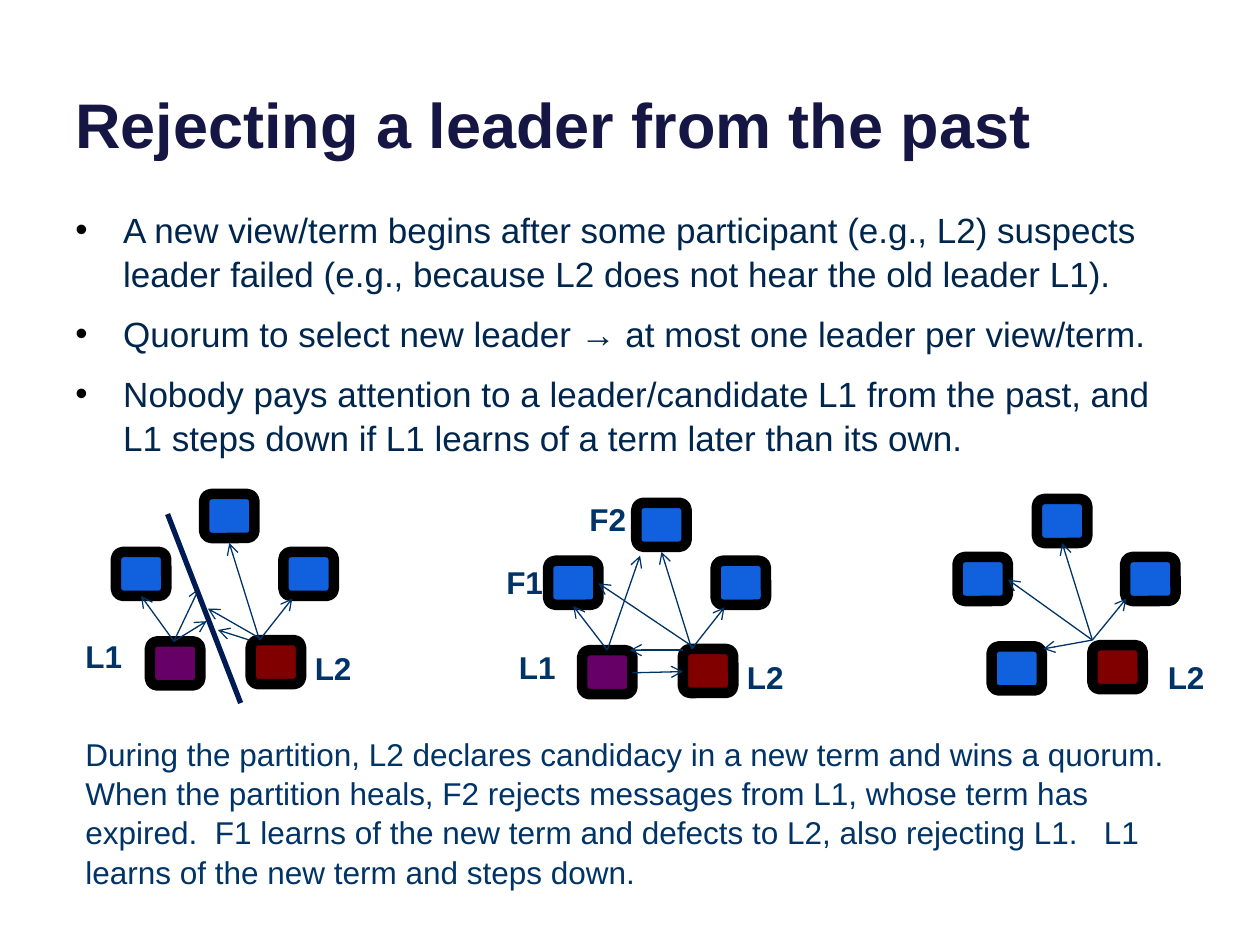
import pptx
import pptx.util
import pptx.dml.color
import pptx.enum.shapes
import pptx.enum.text
import pptx.oxml.ns
import lxml.etree

BLUE, MAROON, PURPLE = "1160DD", "800000", "660066"
NAVY, INK = "001B53", "003367"


def rgb(value):
    return pptx.dml.color.RGBColor.from_string(value)


def sub(parent, tag, **attrs):
    return lxml.etree.SubElement(parent, pptx.oxml.ns.qn(tag), **attrs)


class Deck:
    """Style and current slide; lengths are cells of a 100 x 75 grid."""

    CELL = pptx.util.Inches(0.1)
    NODE = (4, 3.5)
    FORMATS = {
        "title": {"size": pptx.util.Pt(36), "bold": True, "color": "161645"},
        "body": {"size": pptx.util.Pt(20), "bold": False, "color": "00264D"},
        "label": {"size": pptx.util.Pt(18), "bold": True, "color": INK},
        "note": {"size": pptx.util.Pt(18), "bold": False, "color": INK},
    }

    def __init__(self):
        self.prs = pptx.Presentation()
        self.prs.slide_width, self.prs.slide_height = self.grid(100, 75)
        self.s = self.prs.slides.add_slide(self.prs.slide_layouts[6])
        self.shapes = self.s.shapes

    def grid(self, *cells):
        return [round(c * self.CELL) for c in cells]

    def group(self):
        self.shapes = self.s.shapes.add_group_shape().shapes

    def ungroup(self):
        self.shapes = self.s.shapes

    def text(self, box, paragraphs, style, bullets=False, wrap=True, spacing=1.0,
             anchor=pptx.enum.text.MSO_ANCHOR.TOP):
        tf = self.shapes.add_textbox(*self.grid(*box)).text_frame
        tf.word_wrap, tf.vertical_anchor = wrap, anchor
        for i, words in enumerate(paragraphs):
            p = tf.add_paragraph() if i else tf.paragraphs[0]
            if bullets:
                self.bullet(p)
            p.line_spacing = spacing
            if i:
                p.space_before = pptx.util.Pt(9)
            r = p.add_run()
            r.text = words
            r.font.name = "Arial"
            for name, value in self.FORMATS[style].items():
                if name == "color":
                    r.font.color.rgb = rgb(value)
                else:
                    setattr(r.font, name, value)

    def bullet(self, p):
        pPr = p._p.get_or_add_pPr()
        indent = pptx.util.Inches(0.38)
        pPr.set("marL", str(indent))
        pPr.set("indent", str(-indent))
        sub(sub(pPr, "a:buClr"), "a:srgbClr", val="000000")
        sub(pPr, "a:buFont", typeface="Arial")
        sub(pPr, "a:buChar", char="•")

    def label(self, x, y, words):
        self.text((x, y, 5, 4), [words], "label", wrap=False)

    def node(self, x, y, color):
        sp = self.shapes.add_shape(pptx.enum.shapes.MSO_SHAPE.ROUNDED_RECTANGLE,
                                   *self.grid(x, y, *self.NODE))
        sp.shadow.inherit = False
        sp.fill.solid()
        sp.fill.fore_color.rgb = rgb(color)
        sp.line.color.rgb = rgb("000000")
        sp.line.width = pptx.util.Pt(6)

    def line(self, ends, color=INK, width=0.75, arrow=True):
        sp = self.shapes.add_connector(pptx.enum.shapes.MSO_CONNECTOR.STRAIGHT,
                                       *self.grid(*ends))
        sp.line.color.rgb = rgb(color)
        sp.line.width = pptx.util.Pt(width)
        if arrow:
            sub(sp.line._get_or_add_ln(), "a:tailEnd", type="arrow")
        sub(sp._element.spPr, "a:effectLst")

    def cluster(self, x, y, top, left_color, arrows):
        """Five servers in a ring; arrow ends are offsets from (x, y)."""
        for dx, dy, color in ((top, 0, BLUE), (0, 4.6, BLUE), (13.3, 4.6, BLUE),
                              (2.7, 11.7, left_color), (10.7, 11.6, MAROON)):
            self.node(x + dx, y + dy, color)
        for x1, y1, x2, y2 in arrows:
            self.line((x + x1, y + y1, x + x2, y + y2))


def main():
    d = Deck()

    # Title and points
    d.text((5, -3.7, 90, 17), ["Rejecting a leader from the past"], "title",
           anchor=pptx.enum.text.MSO_ANCHOR.BOTTOM)
    d.text((5, 15.9, 90, 32.5), [
        "A new view/term begins after some participant (e.g., L2) suspects leader "
        "failed (e.g., because L2 does not hear the old leader L1).",
        "Quorum to select new leader → at most one leader per view/term.",
        "Nobody pays attention to a leader/candidate L1 from the past, and L1 steps "
        "down if L1 learns of a term later than its own.",
    ], "body", bullets=True, spacing=1.05)

    # L2 reaches the servers on its right and at the top in every stage
    l2_arrows = [(11.4, 11.6, 14, 8.3), (11.4, 11.6, 9, 3.9)]

    # Stage 1: the partition cuts messages short
    d.group()
    d.cluster(9.2, 39.2, 7, PURPLE, l2_arrows + [
        (4.6, 11.7, 2, 8.1), (4.6, 11.7, 7.2, 10.1), (4.6, 11.7, 6.6, 7.5),
        (11.5, 11.5, 7.3, 9.1), (10.6, 11.6, 8.1, 10.8)])
    d.line((13.3, 40.8, 19.1, 55.8), NAVY, 3, arrow=False)
    d.label(24, 51, "L2")
    d.label(5.8, 50.1, "L1")

    # Stage 2: the partition has healed
    d.group()
    d.cluster(43.5, 39.9, 7, PURPLE, l2_arrows + [
        (4.7, 11.7, 2, 8.2), (6.7, 13.5, 10.7, 13.4), (4.7, 11.7, 7.3, 4.2),
        (11.6, 11.5, 4, 6.4), (10.7, 11.7, 6.5, 11.7)])
    for x, y, words in ((58.3, 51.7, "L2"), (40.2, 50.9, "L1"),
                        (39.2, 44.2, "F1"), (45.8, 39.2, "F2")):
        d.label(x, y, words)

    # Stage 3: L2 leads everyone
    d.group()
    d.cluster(76, 39.6, 6.3, BLUE, [
        (10.7, 11.2, x, y) for x, y in ((13.4, 7.9), (8.3, 3.5), (4, 6.4), (6.8, 11.9))])
    d.ungroup()

    # Explanation
    d.text((5.8, 57.7, 90.8, 13.1), [
        "During the partition, L2 declares candidacy in a new term and wins a quorum.  "
        "When the partition heals, F2 rejects messages from L1, whose term has expired.  "
        "F1 learns of the new term and defects to L2, also rejecting L1.   "
        "L1 learns of the new term and steps down."], "note", spacing=1.04)
    d.label(91.7, 51.7, "L2")

    d.prs.save("out.pptx")


if __name__ == "__main__":
    main()
